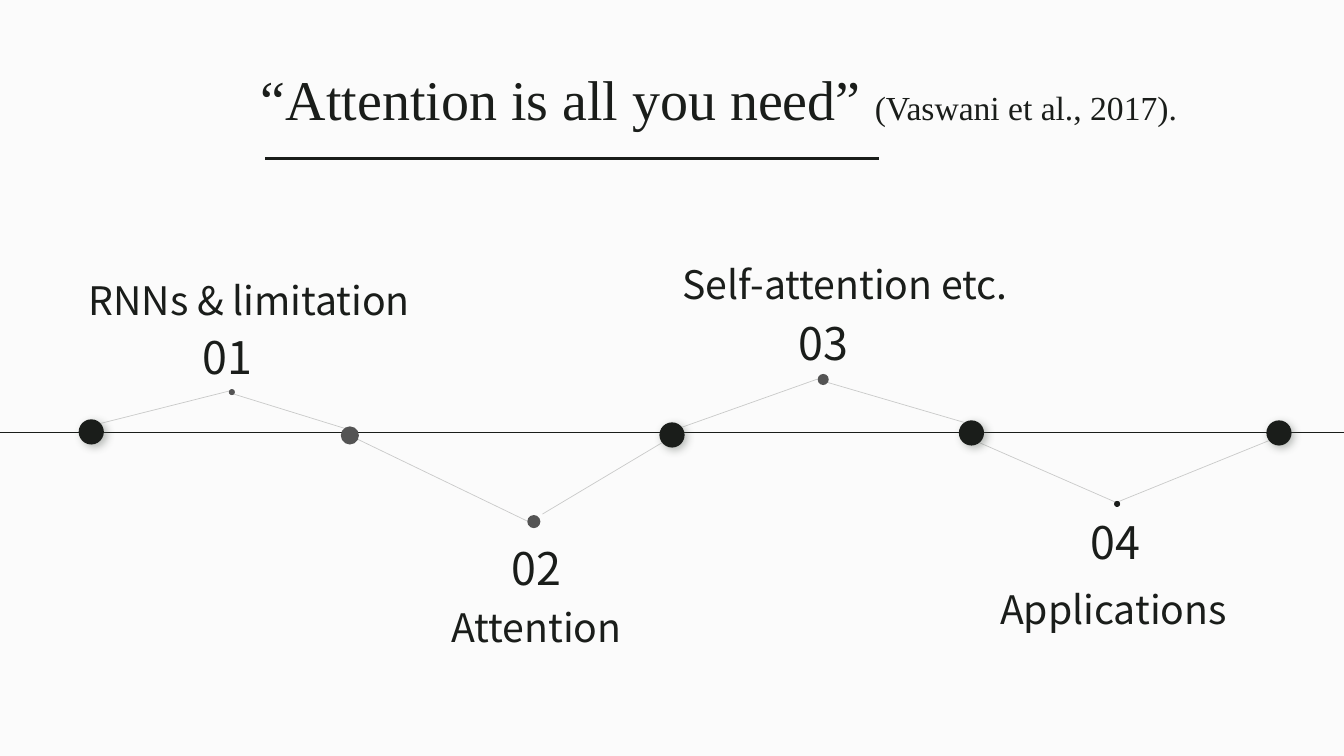
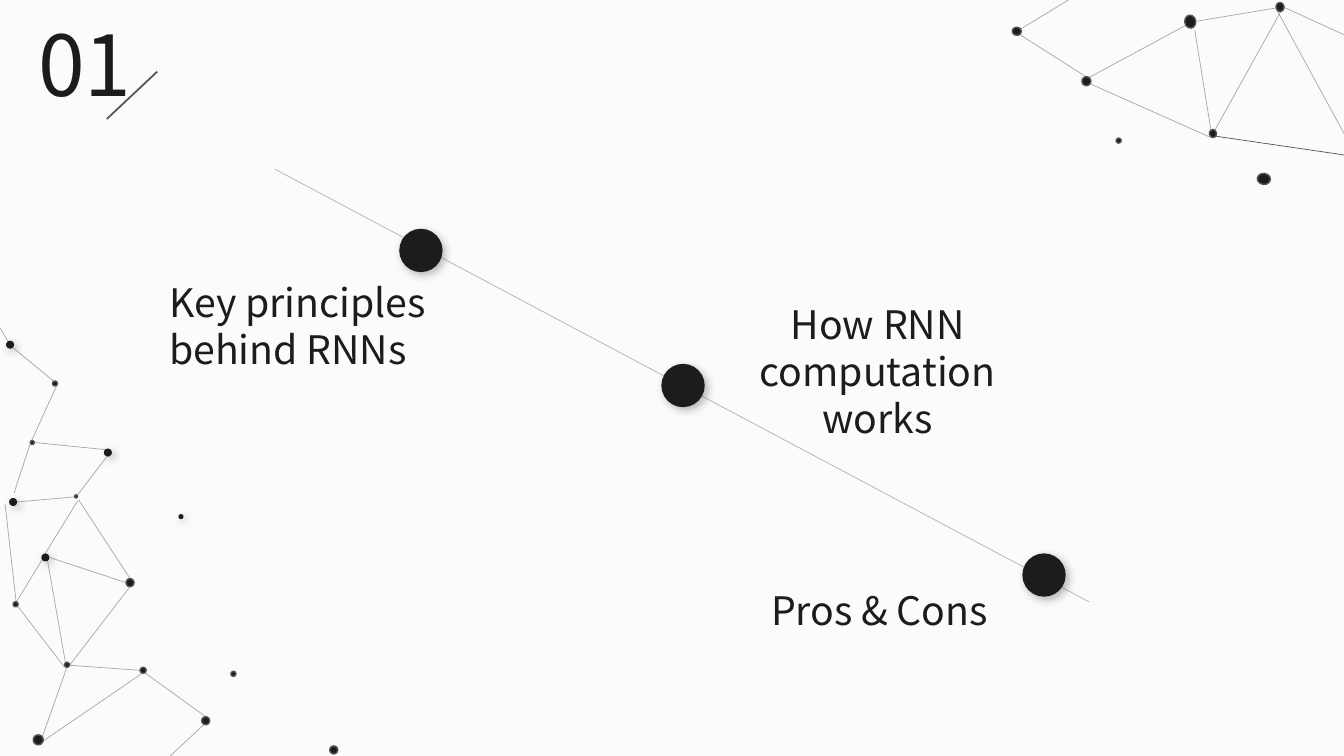
from lxml.etree import SubElement
from pptx import Presentation
from pptx.dml.color import RGBColor
from pptx.enum.shapes import MSO_CONNECTOR as CONNECTOR, MSO_SHAPE as SHAPE
from pptx.enum.text import PP_ALIGN as ALIGN
from pptx.oxml.ns import qn
from pptx.util import Inches, Pt

PAPER = RGBColor(0xFB, 0xFB, 0xFB)
INK = RGBColor(0x1A, 0x1D, 0x1A)
GREY = RGBColor(0x54, 0x54, 0x54)
SHADOW = RGBColor(0x50, 0x59, 0x50)
SANS, SERIF = "Noto Sans CJK SC", "Times New Roman"

# Agenda timeline: (left, top, width, height, text)
TITLE = [("“Attention is all you need” ", 40), ("(Vaswani et al., 2017).", 24)]
NUMBERS = [(1.29, 3.22, "01"), (4.36, 5.32, "02"), (7.2, 3.08, "03"), (10.1, 5.06, "04")]
TOPICS = [
    (0.78, 2.69, 3.62, 0.57, "RNNs & limitation"),
    (4.38, 5.94, 1.97, 0.57, "Attention"),
    (6.67, 2.53, 3.58, 0.57, "Self-attention etc."),
    (9.82, 5.76, 2.57, 0.57, "Applications"),
]
MILESTONES = [(0.78, 4.16), (6.54, 4.19), (9.51, 4.17), (12.56, 4.17)]
# (left, top, diameter, colour)
PEAKS = [
    (3.38, 4.23, 0.18, GREY), (5.23, 5.11, 0.13, GREY), (8.11, 3.71, 0.11, GREY),
    (2.27, 3.86, 0.06, GREY), (11.05, 4.97, 0.06, INK),
]
# Lines: (x1, y1, x2, y2)
ZIGZAG = [
    (1, 4.2, 2.27, 3.88), (2.32, 3.91, 3.42, 4.25), (3.49, 4.33, 5.23, 5.17),
    (5.38, 5.1, 6.57, 4.39), (6.76, 4.24, 8.11, 3.76), (9.56, 4.19, 8.16, 3.78),
    (11.06, 4.98, 9.71, 4.39), (12.59, 4.37, 11.06, 4.99),
]

# Section page
POINTS = [
    (1.58, 2.71, 2.85, 1.04, "Key principles behind RNNs", ALIGN.LEFT),
    (7.23, 2.93, 2.95, 1.51, "How RNN computation works", ALIGN.CENTER),
    (7.55, 5.77, 3.51, 0.57, "Pros & Cons", ALIGN.LEFT),
]
POINT_DOTS = [(3.96, 2.27), (6.56, 3.61), (10.14, 5.49)]
TOP_NET_LINES = [
    (11.87, 0.21, 12.65, 0.08), (13.69, 0.51, 12.73, 0.07), (13.48, 1.6, 12.67, 0.11),
    (12.7, 0.12, 12.05, 1.29), (12.01, 1.29, 11.85, 0.3), (10.8, 0.77, 11.82, 0.22),
    (10.81, 0.83, 12, 1.36), (10.11, 0.34, 10.77, 0.76), (10.12, 0.29, 10.86, -0.16),
]
LEFT_NET_LINES = [
    (0.34, 4.39, 1.04, 4.46), (0.13, 3.45, 0.53, 3.78), (0.56, 3.83, 0.31, 4.38),
    (0.3, 4.4, 0.14, 4.89), (0.17, 4.98, 0.73, 4.93), (0.45, 5.49, 0.77, 4.97),
    (0.05, 5, 0.16, 5.97), (0.42, 5.55, 0.14, 6.01), (0.47, 5.55, 0.65, 6.58),
    (1.29, 5.74, 0.78, 4.96), (0.64, 6.62, 0.18, 6.02), (0.42, 7.31, 0.66, 6.63),
    (0.49, 5.53, 1.25, 5.78), (0.77, 4.91, 1.06, 4.53), (1.29, 5.82, 0.69, 6.6),
    (0.69, 6.6, 1.39, 6.65), (1.43, 6.67, 2.04, 7.11), (1.41, 6.68, 0.43, 7.35),
    (-0.31, 2.72, 0.08, 3.39), (2.03, 7.18, 1.39, 7.78),
]
# (left, top, width, height, rotation)
TOP_NET_DOTS = [
    (12.65, 0.03, 0.09, 0.08, 82), (11.99, 1.29, 0.08, 0.07, 82),
    (10.73, 0.76, 0.09, 0.09, 82), (11.74, 0.16, 0.13, 0.11, 82),
    (12.47, 1.72, 0.13, 0.11, 186.2), (10.04, 0.27, 0.09, 0.08, 186.2),
    (11.07, 1.37, 0.05, 0.05, 0),
]
# (left, top, diameter)
OUTLINED_DOTS = [
    (0.33, 7.29, 0.1), (0.52, 3.78, 0.05), (0.64, 6.57, 0.05), (1.25, 5.74, 0.08),
    (0.3, 4.37, 0.04), (0.74, 4.91, 0.03), (0.13, 5.97, 0.05), (1.39, 6.62, 0.06),
    (2, 7.11, 0.08), (3.27, 7.4, 0.08), (2.29, 6.66, 0.05),
]
SHADOWED_DOTS = [
    (0.06, 3.38, 0.08), (0.09, 4.94, 0.08), (0.41, 5.49, 0.08), (1.77, 5.1, 0.05),
    (1.03, 4.45, 0.08),
]


def add_page(deck):
    page = deck.slides.add_slide(deck.slide_layouts[6])
    page.background.fill.solid()
    page.background.fill.fore_color.rgb = PAPER
    return page


def add_alpha(colour, percent):
    SubElement(colour, qn("a:alpha")).set("val", str(percent * 1000))


def add_line(page, ends, colour=GREY, width=0.5, opacity=100):
    line = page.shapes.add_connector(CONNECTOR.STRAIGHT, *map(Inches, ends))
    line.line.color.rgb = colour
    line.line.width = Pt(width)
    properties = line._element.spPr
    if opacity < 100:
        add_alpha(properties.find(".//" + qn("a:srgbClr")), opacity)
    SubElement(properties, qn("a:effectLst"))


def add_dot(page, left, top, width, height=None, colour=INK, rotation=0,
            outlined=False, shadowed=False):
    """Draw an ellipse, a circle when no height is given."""
    dot = page.shapes.add_shape(SHAPE.OVAL, *map(Inches, (left, top, width, height or width)))
    dot.rotation = rotation
    dot.fill.solid()
    dot.fill.fore_color.rgb = colour
    if outlined:
        dot.line.color.rgb = GREY
        dot.line.width = Pt(1)
    else:
        dot.line.fill.background()
    dot.shadow.inherit = False
    if shadowed:
        effects = dot._element.spPr.find(qn("a:effectLst"))
        shadow = SubElement(effects, qn("a:outerShdw"), blurRad=str(Pt(6)), dist=str(Pt(3)),
                            dir=str(45 * 60000), algn="tl", rotWithShape="0")
        add_alpha(SubElement(shadow, qn("a:srgbClr"), val=str(SHADOW)), 40)


def add_text(page, left, top, width, height, text="", size=28, align=ALIGN.LEFT, font=SANS):
    box = page.shapes.add_textbox(*map(Inches, (left, top, width, height)))
    box.text_frame.word_wrap = True
    para = box.text_frame.paragraphs[0]
    para.text = text
    para.alignment = align
    para.font.name = font
    para.font.size = Pt(size)
    para.font.color.rgb = INK
    return para


def build_agenda(deck):
    page = add_page(deck)
    title = add_text(page, 2.49, 0.59, 9.98, 0.77, font=SERIF)
    for text, size in TITLE:
        span = title.add_run()
        span.text = text
        span.font.size = Pt(size)
    add_line(page, (2.63, 1.57, 8.72, 1.57), INK, 2)
    add_line(page, (0, 4.29, 13.33, 4.29), INK, 0.75)
    for ends in ZIGZAG:
        add_line(page, ends, INK, opacity=21)
    for left, top in MILESTONES:
        add_dot(page, left, top, 0.25, shadowed=True)
    for left, top, diameter, colour in PEAKS:
        add_dot(page, left, top, diameter, colour=colour)
    for left, top, number in NUMBERS:
        add_text(page, left, top, 1.93, 0.64, number, 32, ALIGN.CENTER)
    for topic in TOPICS:
        add_text(page, *topic)


def build_section(deck):
    page = add_page(deck)
    add_line(page, (2.73, 1.68, 10.8, 5.97), opacity=43)
    for left, top in POINT_DOTS:
        add_dot(page, left, top, 0.43, shadowed=True)
    add_line(page, (13.42, 1.55, 12.05, 1.35))
    for ends in TOP_NET_LINES + LEFT_NET_LINES:
        add_line(page, ends, opacity=50)
    for *place, rotation in TOP_NET_DOTS:
        add_dot(page, *place, rotation=rotation, outlined=True)
    for place in OUTLINED_DOTS:
        add_dot(page, *place, outlined=True)
    for place in SHADOWED_DOTS:
        add_dot(page, *place, shadowed=True)
    for *place, text, align in POINTS:
        add_text(page, *place, text, align=align)
    add_text(page, 0.28, 0.07, 1.14, 1.11, "01", 60)
    add_line(page, (1.56, 0.71, 1.06, 1.18), width=1.25)


def main():
    deck = Presentation()
    deck.slide_width, deck.slide_height = Inches(13.33), Inches(7.5)
    build_agenda(deck)
    build_section(deck)
    deck.save("out.pptx")


if __name__ == "__main__":
    main()
